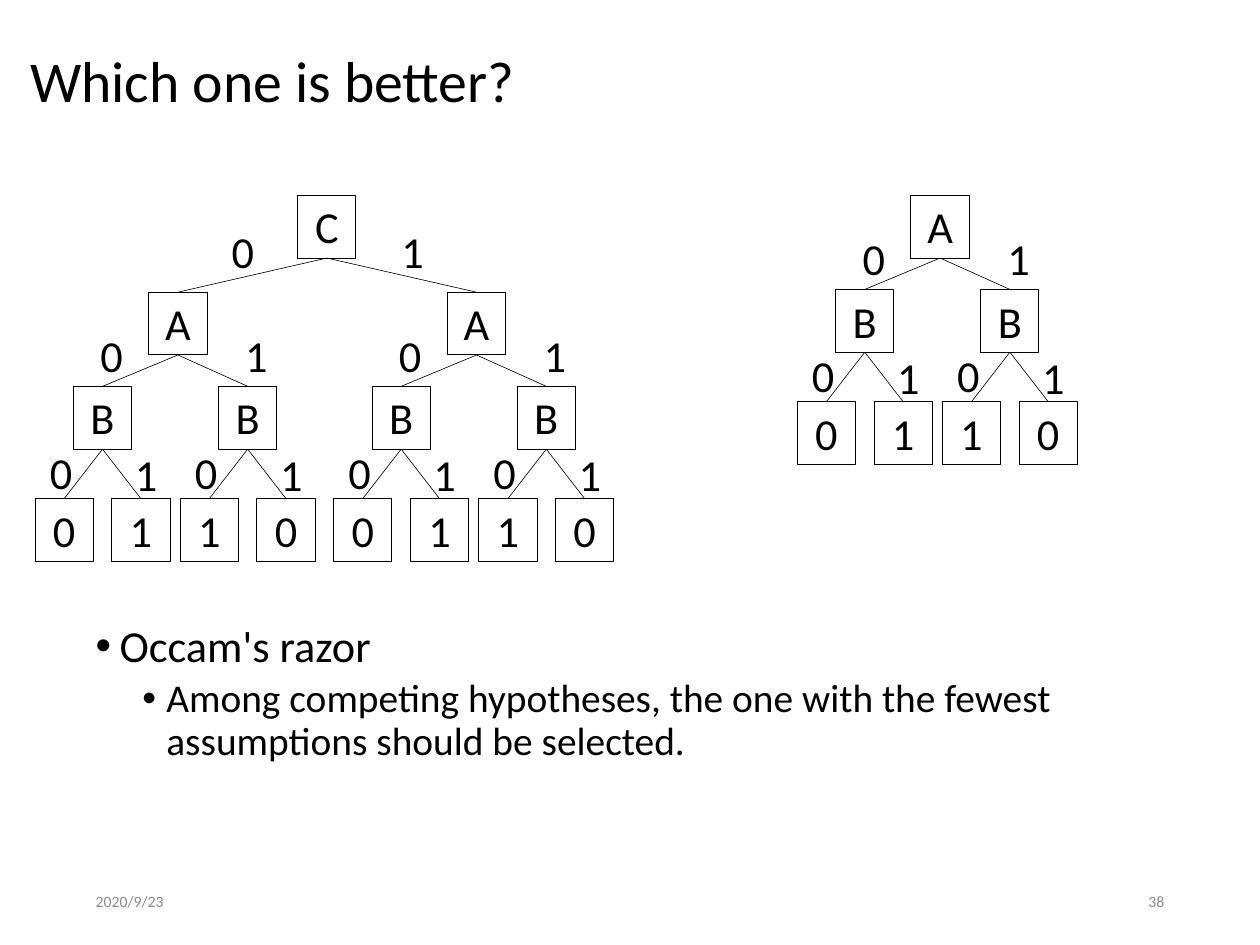
import pptx
import pptx.dml.color
import pptx.enum.shapes
import pptx.enum.text
import pptx.util
from dataclasses import dataclass
from lxml import etree
from pptx.oxml.ns import qn

Cm, Pt = pptx.util.Cm, pptx.util.Pt
ALIGN = pptx.enum.text.PP_ALIGN
ANCHOR = pptx.enum.text.MSO_ANCHOR
AUTO = pptx.enum.text.MSO_AUTO_SIZE


@dataclass
class Theme:
    font: str = "Calibri"
    ink: str = "000000"
    muted: str = "8C8C8C"
    title: float = 46.9
    node: float = 36
    detail: float = 32
    footer: float = 12.8
    box_line: float = 0.75
    branch_line: float = 0.5


@dataclass
class Split:
    """Branch geometry in cm, measured from a node's top centre."""
    spread: tuple
    drop: float
    tag_x: tuple
    tag_y: tuple


NODE_W, NODE_H, TAG_W = 1.67, 1.8, 1.17
SPLITS = {
    "C": Split((-4.27, 4.29), 2.78, (-2.41, 2.46), (0.71, 0.71)),
    "A": Split((-2.16, 2.0), 2.7, (-1.9, 2.25), (0.92, 0.92)),
    "B": Split((-1.1, 1.1), 3.22, (-1.19, 1.25), (1.55, 1.63)),
}

# Trees as (label, branch for 0, branch for 1)
XOR_TREE = ("A", ("B", "0", "1"), ("B", "1", "0"))
FULL_TREE = ("C", XOR_TREE, XOR_TREE)


class Builder:
    def __init__(self, slide, theme):
        self.s, self.theme = slide, theme

    def add_text(self, p, text, size, color=None, **paragraph_format):
        for name, value in paragraph_format.items():
            setattr(p, name, value)
        r = p.add_run()
        r.text = text
        for name, value in {"name": self.theme.font, "size": Pt(size), "bold": False}.items():
            setattr(r.font, name, value)
        r.font.color.rgb = pptx.dml.color.RGBColor.from_string(color or self.theme.ink)

    def frame(self, tf, **frame_format):
        for name, value in frame_format.items():
            setattr(tf, name, value)
        return tf.paragraphs[0]

    def outline(self, line, width):
        line.color.rgb = pptx.dml.color.RGBColor.from_string(self.theme.ink)
        line.width = Pt(width)

    def title(self, text, x, y, w, h):
        sp = self.s.shapes.title
        for name, value in {"left": x, "top": y, "width": w, "height": h}.items():
            setattr(sp, name, Cm(value))
        p = self.frame(sp.text_frame, auto_size=AUTO.NONE, vertical_anchor=ANCHOR.MIDDLE)
        self.add_text(p, text, self.theme.title, alignment=ALIGN.LEFT, line_spacing=0.9)

    def textbox(self, x, y, w, h, **frame_format):
        sp = self.s.shapes.add_textbox(Cm(x), Cm(y), Cm(w), Cm(h))
        return self.frame(sp.text_frame, **frame_format), sp.text_frame

    def footer(self, text, x, align):
        p, _ = self.textbox(x, 25.12, 8.13, 1.45, word_wrap=True, vertical_anchor=ANCHOR.MIDDLE)
        self.add_text(p, text, self.theme.footer, self.theme.muted, alignment=align)

    def tag(self, text, x, y):
        p, _ = self.textbox(x - TAG_W / 2, y, TAG_W, NODE_H, word_wrap=False)
        self.add_text(p, text, self.theme.node, alignment=ALIGN.CENTER)

    def node(self, text, x, y):
        sp = self.s.shapes.add_shape(pptx.enum.shapes.MSO_SHAPE.RECTANGLE,
                                     Cm(x - NODE_W / 2), Cm(y), Cm(NODE_W), Cm(NODE_H))
        sp.shadow.inherit = False
        sp.fill.background()
        self.outline(sp.line, self.theme.box_line)
        p = self.frame(sp.text_frame, word_wrap=True, vertical_anchor=ANCHOR.TOP)
        self.add_text(p, text, self.theme.node, alignment=ALIGN.CENTER)

    def branch(self, x1, y1, x2, y2):
        c = self.s.shapes.add_connector(pptx.enum.shapes.MSO_CONNECTOR.STRAIGHT,
                                        Cm(x1), Cm(y1), Cm(x2), Cm(y2))
        self.outline(c.line, self.theme.branch_line)
        etree.SubElement(c._element.spPr, qn("a:effectLst"))

    def tree(self, tree, x, y):
        label, *children = tree
        self.node(label, x, y)
        for i, child in enumerate(children):
            split = SPLITS[label]
            child_x, child_y = x + split.spread[i], y + split.drop
            self.branch(x, y + NODE_H, child_x, child_y)
            self.tag(str(i), x + split.tag_x[i], y + split.tag_y[i])
            self.tree(child, child_x, child_y)

    def bullets(self, items, x, y, w, h):
        p, tf = self.textbox(x, y, w, h, word_wrap=True)
        for i, (text, level, size, indent, before) in enumerate(items):
            p = tf.add_paragraph() if i else p
            self.add_text(p, text, size, level=level, line_spacing=0.9, space_before=Pt(before))
            pPr = p._p.get_or_add_pPr()
            pPr.set("marL", str(Cm(indent)))
            pPr.set("indent", str(-Cm(0.69)))
            etree.SubElement(pPr, qn("a:buFont"), typeface="Arial")
            etree.SubElement(pPr, qn("a:buChar"), char="•")


def main():
    prs = pptx.Presentation()
    prs.slide_width, prs.slide_height = Cm(36.12), Cm(27.1)
    theme = Theme()
    b = Builder(prs.slides.add_slide(prs.slide_layouts[5]), theme)

    # Title
    b.title("Which one is better?", 0.61, 1.19, 34.62, 2.41)

    # Decision trees
    b.tree(FULL_TREE, 9.37, 5.6)
    b.tree(XOR_TREE, 26.95, 5.6)

    # Principle
    b.bullets([
        ("Occam's razor", 0, theme.node, 0.69, 10.7),
        ("Among competing hypotheses, the one with the fewest assumptions should be selected.",
         1, theme.detail, 2.03, 5.3),
    ], 2.49, 17.78, 31.17, 6.63)

    # Date and slide number
    b.footer("2020/9/23", 2.49, ALIGN.LEFT)
    b.footer("38", 25.5, ALIGN.RIGHT)

    prs.save("out.pptx")


if __name__ == "__main__":
    main()
